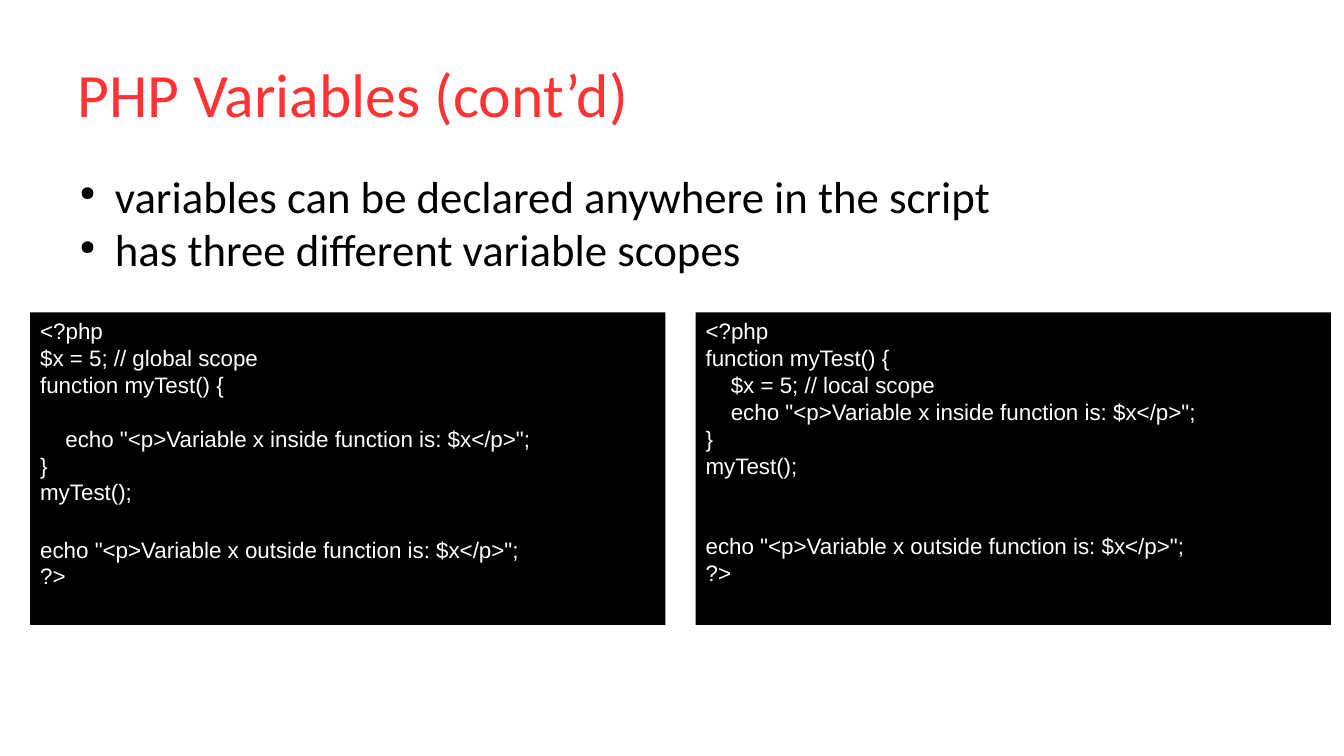
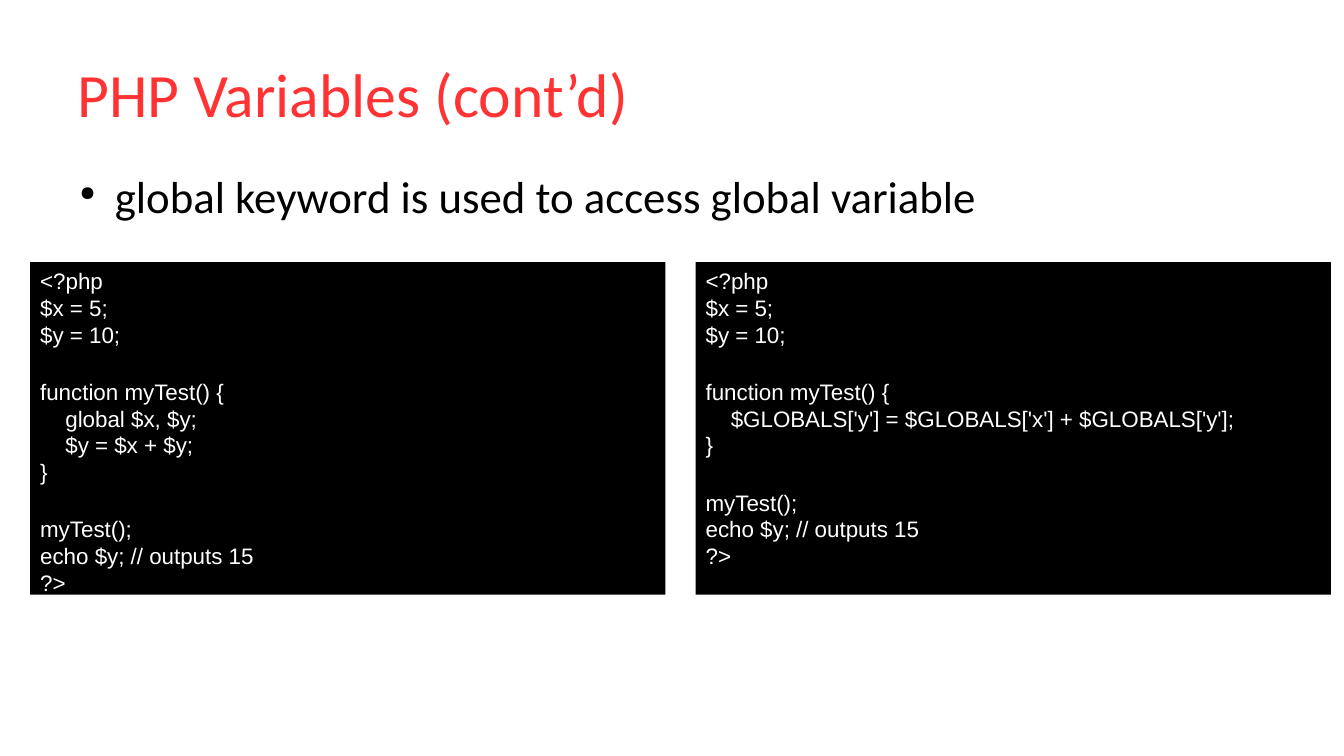
from dataclasses import dataclass
from lxml.etree import SubElement
from pptx import Presentation
from pptx.dml.color import RGBColor
from pptx.enum.shapes import MSO_SHAPE
from pptx.enum.text import MSO_ANCHOR, PP_ALIGN
from pptx.oxml.ns import qn
from pptx.util import Inches, Pt


@dataclass(frozen=True)
class Theme:
    red: str = "FF3333"
    black: str = "000000"
    white: str = "FFFFFF"
    sans: str = "Calibri"
    mono: str = "Arial"
    head: int = 44
    body: int = 32
    code: int = 16
    lead: float = 1.2
    tab: float = 0.25


THEME = Theme()
TITLE = "PHP Variables (cont’d)"
LEFT, WIDTH, GAP = 0.3, 6.3, 0.3

# A number in a code list is a vertical gap, in points of type.
SLIDES = [
    {
        "points": [
            "variables can be declared anywhere in the script",
            "has three different variable scopes",
        ],
        "top": 3.1,
        "height": 3.1,
        "codes": [
            [
                "<?php",
                "$x = 5; // global scope",
                "function myTest() {",
                16,
                "\techo \"<p>Variable x inside function is: $x</p>\";",
                "}",
                "myTest();",
                18,
                "echo \"<p>Variable x outside function is: $x</p>\";",
                "?>",
            ],
            [
                "<?php",
                "function myTest() {",
                "\t$x = 5; // local scope",
                "\techo \"<p>Variable x inside function is: $x</p>\";",
                "}",
                "myTest();",
                32,
                "echo \"<p>Variable x outside function is: $x</p>\";",
                "?>",
            ],
        ],
    },
    {
        "points": ["global keyword is used to access global variable"],
        "top": 2.6,
        "height": 3.3,
        "codes": [
            [
                "<?php",
                "$x = 5;",
                "$y = 10;",
                18,
                "function myTest() {",
                "\tglobal $x, $y;",
                "\t$y = $x + $y;",
                "}",
                18,
                "myTest();",
                "echo $y; // outputs 15",
                "?>",
            ],
            [
                "<?php",
                "$x = 5;",
                "$y = 10;",
                18,
                "function myTest() {",
                "\t$GLOBALS['y'] = $GLOBALS['x'] + $GLOBALS['y'];",
                "}",
                18,
                "myTest();",
                "echo $y; // outputs 15",
                "?>",
            ],
        ],
    },
]


def style(para, face, size, color):
    para.alignment = PP_ALIGN.LEFT
    para.font.name = face
    para.font.size = Pt(size)
    para.font.color.rgb = RGBColor.from_string(color)


def indent(para, left, first=0):
    props = para._p.get_or_add_pPr()
    props.set("marL", str(Inches(left)))
    props.set("indent", str(Inches(first)))
    return props


def bullet(para):
    props = indent(para, 0.47, -0.35)
    tint = SubElement(props, qn("a:buClr"))
    SubElement(tint, qn("a:srgbClr"), val=THEME.black)
    SubElement(props, qn("a:buSzPct"), val="45000")
    SubElement(props, qn("a:buChar"), char="●")


def add_para(frame, index):
    return frame.add_paragraph() if index else frame.paragraphs[0]


def add_box(slide, top, height):
    box = slide.shapes.add_textbox(
        Inches(0.67), Inches(top), Inches(12), Inches(height))
    box.text_frame.word_wrap = True
    return box.text_frame


def add_title(slide):
    frame = add_box(slide, 0.3, 1.25)
    frame.vertical_anchor = MSO_ANCHOR.MIDDLE
    para = frame.paragraphs[0]
    para.text = TITLE
    style(para, THEME.sans, THEME.head, THEME.red)


def add_points(slide, points):
    frame = add_box(slide, 1.67, 4.95)
    frame.margin_left = frame.margin_right = 0
    frame.margin_top = frame.margin_bottom = 0
    for index, point in enumerate(points):
        para = add_para(frame, index)
        para.text = point
        bullet(para)
        style(para, THEME.sans, THEME.body, THEME.black)


def add_code(slide, left, top, height, lines):
    panel = slide.shapes.add_shape(
        MSO_SHAPE.RECTANGLE,
        Inches(left), Inches(top), Inches(WIDTH), Inches(height))
    panel.shadow.inherit = False
    panel.fill.solid()
    panel.fill.fore_color.rgb = RGBColor.from_string(THEME.black)
    panel.line.fill.background()
    frame = panel.text_frame
    frame.word_wrap = True
    frame.vertical_anchor = MSO_ANCHOR.TOP
    gap = count = 0
    for line in lines:
        if isinstance(line, int):
            gap = line
            continue
        para = add_para(frame, count)
        para.text = line.lstrip("\t")
        para.line_spacing = Pt(THEME.code * THEME.lead)
        para.space_before = Pt(gap * THEME.lead)
        indent(para, THEME.tab * line.count("\t"))
        style(para, THEME.mono, THEME.code, THEME.white)
        gap, count = 0, count + 1


def main():
    deck = Presentation()
    deck.slide_width, deck.slide_height = Inches(13.33), Inches(7.5)
    for data in SLIDES:
        slide = deck.slides.add_slide(deck.slide_layouts[6])
        add_title(slide)
        add_points(slide, data["points"])
        for col, lines in enumerate(data["codes"]):
            left = LEFT + col * (WIDTH + GAP)
            add_code(slide, left, data["top"], data["height"], lines)
    deck.save("out.pptx")


if __name__ == "__main__":
    main()
